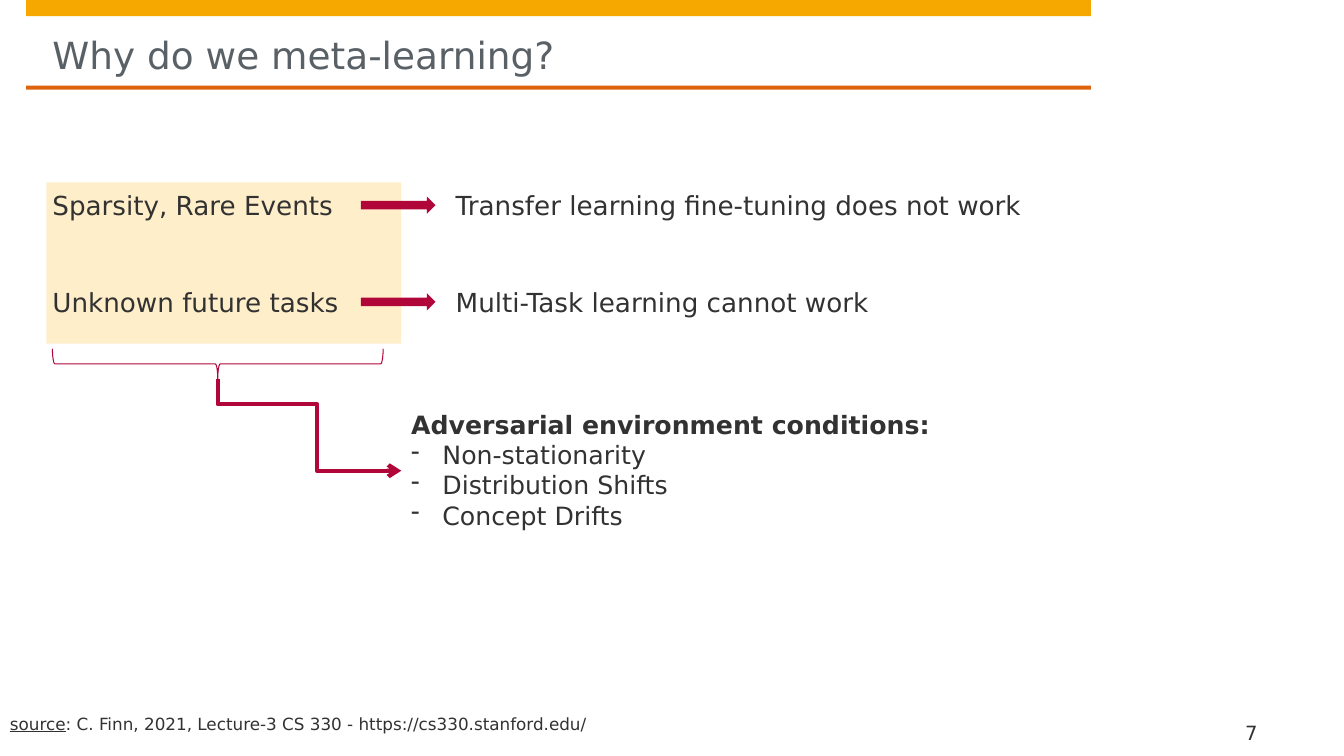
from lxml import etree
from pptx import Presentation
from pptx.dml.color import RGBColor
from pptx.enum import shapes, text
from pptx.oxml import ns
from pptx.util import Inches, Pt

FONT = "DejaVu Sans"
AMBER = RGBColor(0xF6, 0xA8, 0x00)
ORANGE = RGBColor(0xDD, 0x64, 0x0C)
CREAM = RGBColor(0xFF, 0xEE, 0xCA)
CRIMSON = RGBColor(0xB1, 0x06, 0x3A)
SLATE = RGBColor(0x5A, 0x61, 0x66)
INK = RGBColor(0x32, 0x32, 0x32)

PRESET = shapes.MSO_SHAPE
ANCHOR = text.MSO_ANCHOR


def add_filled(page, preset, left, top, width, height, color):
    shape = page.shapes.add_shape(
        preset, Inches(left), Inches(top), Inches(width), Inches(height))
    shape.shadow.inherit = False
    shape.fill.solid()
    shape.fill.fore_color.rgb = color
    shape.line.fill.background()
    return shape


def add_span(para, words, size=18, color=INK, bold=False, underline=False):
    span = para.add_run()
    span.text = words
    span.font.name = FONT
    span.font.size = Pt(size)
    span.font.color.rgb = color
    span.font.bold = bold
    span.font.underline = underline


def add_box(page, left, top, width, height, insets=(0, 0, 0, 0), anchor=ANCHOR.TOP):
    box = page.shapes.add_textbox(
        Inches(left), Inches(top), Inches(width), Inches(height))
    frame = box.text_frame
    frame.word_wrap = True
    frame.vertical_anchor = anchor
    (frame.margin_left, frame.margin_top,
     frame.margin_right, frame.margin_bottom) = map(Inches, insets)
    return box


def add_text(page, words, left, top, width, height,
             insets=(0, 0, 0, 0), anchor=ANCHOR.TOP, **style):
    box = add_box(page, left, top, width, height, insets, anchor)
    add_span(box.text_frame.paragraphs[0], words, **style)
    return box


def set_dash_bullet(para, indent):
    props = para._p.get_or_add_pPr()
    props.set("marL", str(Inches(indent)))
    props.set("indent", str(-Inches(indent)))
    etree.SubElement(props, ns.qn("a:buChar")).set("char", "-")


def add_header(page, left, top, width):
    add_filled(page, PRESET.RECTANGLE, left, top, width, 0.16, AMBER)
    add_filled(page, PRESET.RECTANGLE, left, top + 0.85, width, 0.04, ORANGE)
    add_text(page, "Why do we meta-learning?", left + 0.26, top + 0.16,
             width - 0.53, 0.61, insets=(0, 0.16, 0, 0), size=26.7, color=SLATE)


def add_challenges(page, left, top, width, height):
    add_filled(page, PRESET.RECTANGLE, left, top, width, height, CREAM)
    rows = [
        ("Sparsity, Rare Events", "Transfer learning fine-tuning does not work"),
        ("Unknown future tasks", "Multi-Task learning cannot work"),
    ]
    for index, (cause, effect) in enumerate(rows):
        middle = top + 0.22 + 0.96 * index
        for words, offset, span_width in ((cause, 0.06, 3), (effect, 4.06, 6)):
            add_text(page, words, left + offset, middle - 0.18, span_width, 0.37,
                     anchor=ANCHOR.MIDDLE, size=18.7)
        add_filled(page, PRESET.RIGHT_ARROW, left + 3.12, middle - 0.08,
                   0.74, 0.17, CRIMSON)


def add_brace(page, left, top, width, height):
    # The brace is drawn upright, then turned about its centre
    brace = page.shapes.add_shape(
        PRESET.LEFT_BRACE, Inches(left + (width - height) / 2),
        Inches(top + (height - width) / 2), Inches(height), Inches(width))
    brace.rotation = 270
    brace.shadow.inherit = False
    brace.fill.background()
    brace.line.color.rgb = CRIMSON
    brace.line.width = Pt(0.75)


def add_bent_arrow(page, left, top, width, height):
    # Three bends: down, right, down, right; drawn on its side, then turned
    center_x, center_y = left + width / 2, top + height / 2
    arrow = page.shapes.add_connector(
        shapes.MSO_CONNECTOR.ELBOW,
        Inches(center_x + height / 2), Inches(center_y - width / 2),
        Inches(center_x - height / 2), Inches(center_y + width / 2))
    arrow.line.color.rgb = CRIMSON
    arrow.line.width = Pt(3)
    props = arrow._element.spPr
    props.find(ns.qn("a:xfrm")).set("rot", str(270 * 60000))
    geometry = props.find(ns.qn("a:prstGeom"))
    geometry.set("prst", "bentConnector4")
    bends = geometry.find(ns.qn("a:avLst"))
    if bends is None:
        bends = etree.SubElement(geometry, ns.qn("a:avLst"))
    for name, value in (("adj1", 27500), ("adj2", 54100)):
        guide = etree.SubElement(bends, ns.qn("a:gd"))
        guide.set("name", name)
        guide.set("fmla", f"val {value}")
    etree.SubElement(arrow.line._get_or_add_ln(), ns.qn("a:tailEnd")).set("type", "arrow")
    etree.SubElement(props, ns.qn("a:effectLst"))


def add_conditions(page, left, top, width, height):
    box = add_text(page, "Adversarial environment conditions:", left, top,
                   width, height, insets=(0.1, 0.05, 0.1, 0.05), bold=True)
    for condition in ("Non-stationarity", "Distribution Shifts", "Concept Drifts"):
        para = box.text_frame.add_paragraph()
        set_dash_bullet(para, 0.31)
        add_span(para, condition)


def add_footer(page, left, top, width, height):
    box = add_text(page, "source", left, top, width - 1.49, height,
                   insets=(0.1, 0.05, 0.1, 0.05), size=12, underline=True)
    add_span(box.text_frame.paragraphs[0],
             ": C. Finn, 2021, Lecture-3 CS 330 - https://cs330.stanford.edu/", size=12)
    add_text(page, "7", left + 12.23, top + 0.06, 0.84, 0.29,
             insets=(0.12, 0, 0, 0), anchor=ANCHOR.BOTTOM, size=14)


def main():
    deck = Presentation()
    deck.slide_width, deck.slide_height = Inches(13.33), Inches(7.5)
    page = deck.slides.add_slide(deck.slide_layouts[6])
    add_header(page, 0.26, 0, 10.56)
    add_challenges(page, 0.46, 1.81, 3.52, 1.6)
    add_brace(page, 0.52, 3.46, 3.28, 0.3)
    add_bent_arrow(page, 2.16, 3.76, 1.82, 0.91)
    add_conditions(page, 3.98, 4.01, 5.7, 1.31)
    add_footer(page, 0, 7.03, 13.33, 0.3)
    deck.save("out.pptx")


if __name__ == "__main__":
    main()
